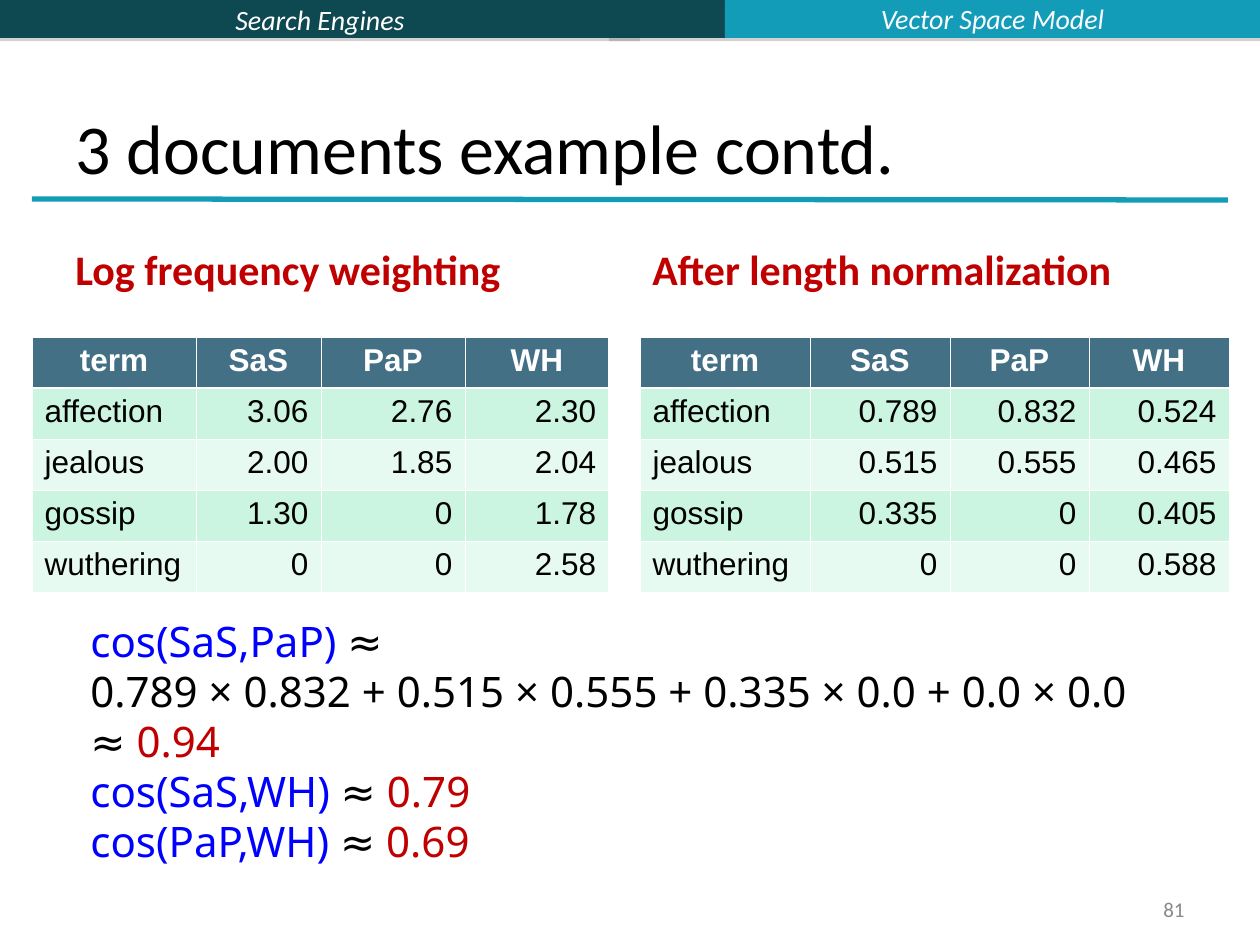
from lxml.etree import SubElement
from pptx import Presentation
from pptx.dml.color import RGBColor
from pptx.enum.shapes import MSO_CONNECTOR, MSO_SHAPE
from pptx.enum.text import MSO_ANCHOR, PP_ALIGN
from pptx.oxml.ns import qn
from pptx.util import Pt

SCALE = 914400 // 126
COLORS = {
    "dark": "0E4851", "teal": "139CB7", "shadow": "808080",
    "white": "FFFFFF", "ice": "FBFCFF", "black": "000000",
    "gray": "898989", "red": "C00000", "blue": "0000FF",
    "header": "437085", "mint": "CBF5E1", "pale": "E7FAF1",
}
FORMATS = {
    "title": {"name": "Calibri", "size": Pt(40)},
    "heading": {"name": "Calibri", "size": Pt(24), "bold": True},
    "band": {"name": "Calibri", "size": Pt(16), "italic": True},
    "table_head": {"name": "Arial", "size": Pt(18), "bold": True},
    "table_body": {"name": "Arial", "size": Pt(18), "bold": False},
    "formula": {"name": "Noto Sans", "size": Pt(24)},
    "number": {"name": "Calibri", "size": Pt(12)},
}
TERMS = ["affection", "jealous", "gossip", "wuthering"]
LOG_WEIGHTS = [
    ["3.06", "2.76", "2.30"],
    ["2.00", "1.85", "2.04"],
    ["1.30", "0", "1.78"],
    ["0", "0", "2.58"],
]
NORMALIZED_WEIGHTS = [
    ["0.789", "0.832", "0.524"],
    ["0.515", "0.555", "0.465"],
    ["0.335", "0", "0.405"],
    ["0", "0", "0.588"],
]
FORMULAS = [
    [("cos(SaS,PaP) ", "blue"), ("≈", "black")],
    [("0.789 × 0.832 + 0.515 × 0.555 + 0.335 × 0.0 + 0.0 × 0.0", "black")],
    [("≈ ", "black"), ("0.94", "red")],
    [("cos(SaS,WH)", "blue"), (" ≈ ", "black"), ("0.79", "red")],
    [("cos(PaP,WH) ", "blue"), ("≈ ", "black"), ("0.69", "red")],
]


def px(*lengths):
    return [length * SCALE for length in lengths]


def rgb(color):
    return RGBColor.from_string(COLORS[color])


class SlideBuilder:
    """Holds the slide and draws styled elements on it."""

    def __init__(self, deck):
        self.slide = deck.slides.add_slide(deck.slide_layouts[6])
        self.shapes = self.slide.shapes

    def fill_text(self, frame, lines, style, align=PP_ALIGN.LEFT,
                  spacing=None):
        """Fill a text frame with lines, each a list of (text, color) spans."""
        for index, line in enumerate(lines):
            para = frame.add_paragraph() if index else frame.paragraphs[0]
            para.alignment = align
            if spacing:
                para.line_spacing = spacing
            for text, color in line:
                span = para.add_run()
                span.text = text
                for attribute, value in FORMATS[style].items():
                    setattr(span.font, attribute, value)
                span.font.color.rgb = rgb(color)

    def text(self, area, lines, style, align=PP_ALIGN.LEFT,
             anchor=MSO_ANCHOR.MIDDLE, wrap=True, spacing=None):
        frame = self.shapes.add_textbox(*px(*area)).text_frame
        frame.word_wrap = wrap
        frame.vertical_anchor = anchor
        self.fill_text(frame, lines, style, align, spacing)
        return frame

    def band(self, area, color):
        """Draw a header bar with a thin hard shadow below it."""
        bar = self.shapes.add_shape(MSO_SHAPE.RECTANGLE, *px(*area))
        bar.shadow.inherit = False
        bar.fill.solid()
        bar.fill.fore_color.rgb = rgb(color)
        bar.line.fill.background()
        effects = bar.element.spPr.find(qn("a:effectLst"))
        shadow = SubElement(effects, qn("a:outerShdw"), blurRad="0",
                            dist=str(Pt(1.8)), dir="5400000",
                            algn="t", rotWithShape="0")
        tint = SubElement(shadow, qn("a:srgbClr"), val=COLORS["shadow"])
        SubElement(tint, qn("a:alpha"), val="35000")
        bar.text_frame.vertical_anchor = MSO_ANCHOR.MIDDLE
        return bar

    def rule(self, ends, color, width):
        line = self.shapes.add_connector(MSO_CONNECTOR.STRAIGHT, *px(*ends))
        line.line.color.rgb = rgb(color)
        line.line.width = Pt(width)
        SubElement(line.element.spPr, qn("a:effectLst"))

    def borders(self, cell, top, bottom):
        properties = cell._tc.get_or_add_tcPr()
        for side, width in zip("LRTB", (0.45, 0.45, top, bottom)):
            edge = SubElement(properties, qn(f"a:ln{side}"), w=str(Pt(width)))
            fill = SubElement(edge, qn("a:solidFill"))
            SubElement(fill, qn("a:srgbClr"), val=COLORS["white"])

    def table(self, left, top, widths, row_height, weights):
        rows = [["term", "SaS", "PaP", "WH"]]
        rows += [[term, *values] for term, values in zip(TERMS, weights)]
        area = px(left, top, sum(widths), row_height * len(rows))
        grid = self.shapes.add_table(len(rows), len(widths), *area).table
        for column, width in zip(grid.columns, px(*widths)):
            column.width = width
        for row_index, row in enumerate(rows):
            grid.rows[row_index].height = row_height * SCALE
            head = row_index == 0
            fill = "header" if head else ("pale", "mint")[row_index % 2]
            for column_index, text in enumerate(row):
                cell = grid.cell(row_index, column_index)
                self.borders(cell, 1.47 if row_index == 1 else 0.45,
                             1.47 if head else 0.45)
                cell.fill.solid()
                cell.fill.fore_color.rgb = rgb(fill)
                if head:
                    align = PP_ALIGN.CENTER
                else:
                    align = PP_ALIGN.RIGHT if column_index else PP_ALIGN.LEFT
                self.fill_text(cell.text_frame,
                               [[(text, "white" if head else "black")]],
                               "table_head" if head else "table_body", align)


def main():
    deck = Presentation()
    deck.slide_width, deck.slide_height = px(1260, 945)
    page = SlideBuilder(deck)

    page.band((609, 0, 116, 38), "dark")
    page.band((725, 0, 535, 38), "teal")
    page.rule((32, 199, 1228, 200), "teal", 3)
    course = page.band((0, 0, 640, 38), "dark")
    page.fill_text(course.text_frame, [[("Search Engines", "white")]], "band",
                   PP_ALIGN.CENTER)

    page.text((63, 38, 1134, 157), [[("3 documents example contd.", "black")]],
              "title", anchor=MSO_ANCHOR.BOTTOM)
    for left, heading in ((63, "Log frequency weighting"),
                          (640, "After length normalization")):
        page.text((left, 212, 557, 88), [[(heading, "red")]], "heading",
                  anchor=MSO_ANCHOR.BOTTOM)
    page.table(32, 337, [164, 125, 144, 144], 51, LOG_WEIGHTS)
    page.table(640, 337, [170, 140, 139, 140], 51, NORMALIZED_WEIGHTS)

    formulas = page.text((78, 606, 1061, 265), FORMULAS, "formula",
                         anchor=MSO_ANCHOR.TOP, wrap=False, spacing=Pt(28.6))
    formulas.margin_top = 10 * SCALE

    page.text((725, -5, 535, 47), [[("Vector Space Model", "ice")]], "band",
              PP_ALIGN.CENTER)
    page.text((903, 892, 294, 34), [[("81", "gray")]], "number",
              PP_ALIGN.RIGHT)
    deck.save("out.pptx")


if __name__ == "__main__":
    main()
